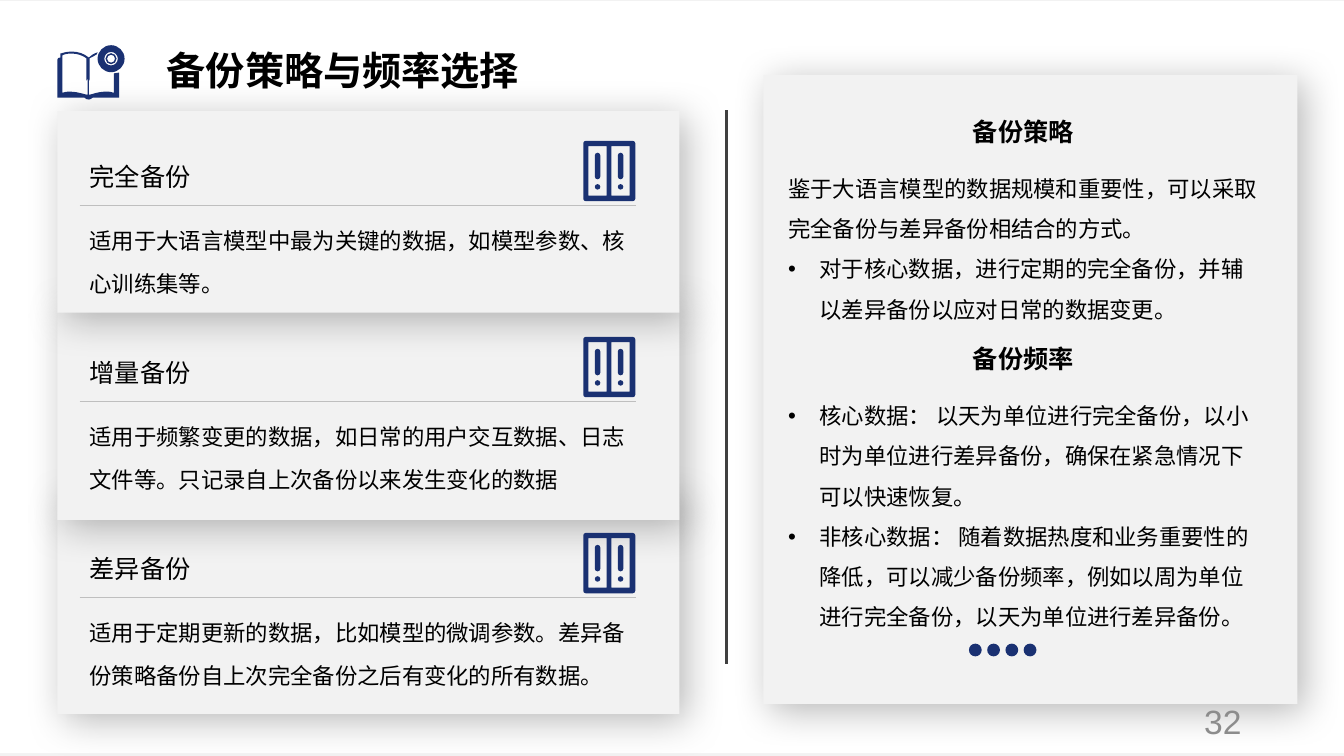
"""Build the slide on backup strategy and backup frequency."""
from lxml.etree import SubElement
from pptx import Presentation
from pptx.dml.color import RGBColor
from pptx.enum.lang import MSO_LANGUAGE_ID as Lang
from pptx.enum.shapes import MSO_CONNECTOR as Connector, MSO_SHAPE as Shape
from pptx.enum.text import MSO_ANCHOR as Anchor, MSO_AUTO_SIZE as AutoSize, PP_ALIGN as Align
from pptx.oxml.ns import qn
from pptx.util import Cm, Pt

NAVY = RGBColor(0x1A, 0x31, 0x72)
BLACK = RGBColor(0, 0, 0)
WHITE = RGBColor(0xFF, 0xFF, 0xFF)
PALE = RGBColor(0xF2, 0xF2, 0xF2)
SILVER = RGBColor(0xBF, 0xBF, 0xBF)
CHARCOAL = RGBColor(0x40, 0x40, 0x40)
GRAY = RGBColor(0x8C, 0x8C, 0x8C)
LATIN, CJK = "Arial", "Noto Sans CJK SC"

BACKUPS = [
    ("完全备份", "适用于大语言模型中最为关键的数据，如模型参数、核心训练集等。", 5.08, CJK),
    ("增量备份", "适用于频繁变更的数据，如日常的用户交互数据、日志文件等。只记录自上次备份以来发生变化的数据", 5.46, LATIN),
    ("差异备份", "适用于定期更新的数据，比如模型的微调参数。差异备份策略备份自上次完全备份之后有变化的所有数据。", 5.51, CJK),
]
STRATEGY = ["鉴于大语言模型的数据规模和重要性，可以采取完全备份与差异备份相结合的方式。"]
STRATEGY_POINTS = ["对于核心数据，进行定期的完全备份，并辅以差异备份以应对日常的数据变更。"]
FREQUENCY_POINTS = [
    "核心数据： 以天为单位进行完全备份，以小时为单位进行差异备份，确保在紧急情况下可以快速恢复。",
    "非核心数据： 随着数据热度和业务重要性的降低，可以减少备份频率，例如以周为单位进行完全备份，以天为单位进行差异备份。",
]
BOOK_COVER = [
    (1.8, 1.3), ((1.98, 1.3), (2.11, 1.35), (2.24, 1.45)),
    ((2.29, 1.4), (2.36, 1.35), (2.46, 1.32)), ((2.44, 1.35), (2.44, 1.37), (2.44, 1.37)),
    ((2.39, 1.4), (2.31, 1.45), (2.26, 1.47)), (2.26, 2.03), (2.24, 1.98), (2.24, 2.39),
    ((2.29, 2.39), (2.46, 2.31), (2.67, 2.31)), ((2.74, 2.31), (2.82, 2.31), (2.87, 2.34)),
    (2.87, 1.85), ((2.92, 1.85), (2.95, 1.83), (3, 1.83)), (3, 2.46), (2.34, 2.46),
    ((2.31, 2.49), (2.26, 2.51), (2.24, 2.51)), ((2.18, 2.51), (2.16, 2.49), (2.13, 2.46)),
    (1.45, 2.46), (1.45, 1.5), ((1.45, 1.47), (1.47, 1.45), (1.52, 1.45)),
    (1.52, 1.35), ((1.55, 1.35), (1.65, 1.3), (1.8, 1.3)),
]
LEFT_PAGE = [
    (1.8, 1.35), ((1.7, 1.35), (1.6, 1.37), (1.57, 1.4)), (1.57, 2.34),
    ((1.63, 2.31), (1.7, 2.31), (1.78, 2.31)), ((1.96, 2.31), (2.16, 2.39), (2.21, 2.39)),
    (2.21, 1.98), (2.18, 2.03), (2.18, 1.47), ((2.08, 1.4), (1.96, 1.35), (1.8, 1.35)),
]


def box_outline(left, top, width, height):
    return [(left, top), (left + width, top), (left + width, top + height), (left, top + height)]


def rounded(left, top, width, height, radius):
    right, bottom, pull = left + width, top + height, 0.45 * radius
    outline = [
        (left + radius, top), (right - radius, top),
        ((right - pull, top), (right, top + pull), (right, top + radius)),
        (right, bottom - radius),
        ((right, bottom - pull), (right - pull, bottom), (right - radius, bottom)),
        (left + radius, bottom),
        ((left + pull, bottom), (left, bottom - pull), (left, bottom - radius)),
        (left, top + radius),
        ((left, top + pull), (left + pull, top), (left + radius, top)),
    ]
    flat = {1, 5} if width <= 2 * radius else set()
    flat |= {3, 7} if height <= 2 * radius else set()
    return [part for index, part in enumerate(outline) if index not in flat]


def circle(x, y, radius):
    return rounded(x - radius, y - radius, 2 * radius, 2 * radius, radius)


def binders(left, top):
    outlines = [rounded(left, top, 1.31, 1.52, 0.06)]
    for x in (left + 0.13, left + 0.71):
        outlines += [
            box_outline(x, top + 0.13, 0.46, 1.25),
            rounded(x + 0.16, top + 0.3, 0.14, 0.67, 0.07),
            circle(x + 0.23, top + 1.16, 0.07),
        ]
    return outlines


def write(frame, plain=(), bullets=(), size=16, font=CJK, color=BLACK, bold=False,
          align=Align.LEFT, spacing=1.0, anchor=Anchor.TOP):
    frame.word_wrap = True
    frame.auto_size = AutoSize.NONE
    frame.vertical_anchor = anchor
    lines = [(text, False) for text in plain] + [(text, True) for text in bullets]
    for index, (text, bulleted) in enumerate(lines):
        paragraph = frame.add_paragraph() if index else frame.paragraphs[0]
        paragraph.alignment = align
        paragraph.line_spacing = spacing
        paragraph.space_before = paragraph.space_after = Pt(0)
        properties = paragraph._p.get_or_add_pPr()
        indent = Cm(0.79) if bulleted else 0
        properties.set("marL", str(indent))
        properties.set("indent", str(-indent))
        if bulleted:
            SubElement(properties, qn("a:buFont"), typeface=LATIN)
            SubElement(properties, qn("a:buChar"), char="•")
        else:
            SubElement(properties, qn("a:buNone"))
        run = paragraph.add_run()
        run.text = text
        run.font.size = Pt(size)
        run.font.bold = bold
        run.font.color.rgb = color
        run.font.name = font
        run.font.language_id = Lang.SIMPLIFIED_CHINESE
        latin = run._r.get_or_add_rPr().find(qn("a:latin"))
        latin.addnext(latin.makeelement(qn("a:ea"), typeface=CJK))


class Canvas:
    """Hold the current slide and draw its elements, with lengths in centimetres."""

    def __init__(self, slide):
        self.slide = slide
        self.shapes = slide.shapes
        slide.background.fill.solid()
        slide.background.fill.fore_color.rgb = PALE

    def paint(self, shape, color):
        shape.shadow.inherit = False
        shape.fill.solid()
        shape.fill.fore_color.rgb = color
        shape.line.fill.background()

    def panel(self, box, color=PALE, raised=True):
        panel = self.shapes.add_shape(Shape.RECTANGLE, *map(Cm, box))
        self.paint(panel, color)
        if raised:
            effects = panel.element.spPr.find(qn("a:effectLst"))
            shadow = SubElement(effects, qn("a:outerShdw"), blurRad=str(Pt(28)),
                                dist=str(Pt(7)), dir="2700000", algn="tl", rotWithShape="0")
            tint = SubElement(shadow, qn("a:srgbClr"), val="000000")
            SubElement(tint, qn("a:alpha"), val="28000")

    def rule(self, start, end, color, weight):
        rule = self.shapes.add_connector(Connector.STRAIGHT, *map(Cm, start + end))
        rule.line.color.rgb = color
        rule.line.width = Pt(weight)
        SubElement(rule.element.spPr, qn("a:effectLst"))

    def icon(self, outlines):
        builder, counts = None, []
        for start, *parts in outlines:
            segments = [part if isinstance(part[0], tuple) else (part,) for part in parts]
            counts += map(len, segments)
            first = tuple(map(Cm, start))
            if builder:
                builder.move_to(*first)
            else:
                builder = self.shapes.build_freeform(*first)
            builder.add_line_segments(
                [tuple(map(Cm, point)) for segment in segments for point in segment], close=True)
        icon = builder.convert_to_shape()
        steps = iter(list(icon.element.spPr.iter(qn("a:lnTo"))))
        for count in counts:
            group = [next(steps) for _ in range(count)]
            if count == 3:
                curve = group[0].makeelement(qn("a:cubicBezTo"))
                group[0].addprevious(curve)
                for step in group:
                    curve.append(step[0])
                    step.getparent().remove(step)
        self.paint(icon, NAVY)

    def text(self, box, *lines, **style):
        write(self.shapes.add_textbox(*map(Cm, box)).text_frame, lines, **style)

    def placeholder(self, index, box, **style):
        holder = self.slide.placeholders[index]
        holder.left, holder.top, holder.width, holder.height = map(Cm, box)
        holder.element.getparent().append(holder.element)
        write(holder.text_frame, **style)


def main():
    deck = Presentation()
    deck.slide_width, deck.slide_height = Cm(33.87), Cm(19.05)
    canvas = Canvas(deck.slides.add_slide(deck.slide_layouts[3]))
    canvas.panel((0, 0.03, 33.87, 18.95), WHITE, raised=False)
    for row in reversed(range(len(BACKUPS))):
        canvas.panel((1.45, 2.8 + 4.84 * row, 15.67, BACKUPS[row][2]))
    for row, (heading, usage, _, font) in enumerate(BACKUPS):
        offset = 4.94 * row
        canvas.text((2.01, 5.19 + offset, 14.02, 2.69), usage, font=font, spacing=1.6)
        canvas.text((2.01, 3.94 + offset, 14.02, 1.14), heading, size=18, font=LATIN)
        canvas.rule((2.01, 5.18 + offset), (16.03, 5.18 + offset), SILVER, 0.25)
        canvas.icon(binders(14.7, 3.55 + offset))

    canvas.rule((18.31, 2.78), (18.31, 16.72), CHARCOAL, 2)
    canvas.placeholder(0, (3.95, 0.64, 29.92, 1.85), plain=["备份策略与频率选择"], size=28,
                       font=LATIN, bold=True, spacing=0.9, anchor=Anchor.BOTTOM)
    disc = [circle(2.8, 1.48, radius) for radius in (0.34, 0.17, 0.14, 0.1)]
    canvas.icon([BOOK_COVER, LEFT_PAGE] + disc)
    canvas.panel((19.24, 1.89, 13.46, 15.85))
    for top, heading in ((2.81, "备份策略"), (8.53, "备份频率")):
        canvas.text((19.62, top, 12.34, 1.88), heading, size=18, font=LATIN,
                    bold=True, align=Align.CENTER)
    canvas.placeholder(1, (19.61, 3.94, 12.34, 3.68), plain=STRATEGY,
                       bullets=STRATEGY_POINTS, spacing=1.5)
    canvas.placeholder(2, (19.61, 9.67, 12.34, 5.33), bullets=FREQUENCY_POINTS, spacing=1.5)
    canvas.icon([circle(24.58 + 0.46 * dot, 16.38, 0.16) for dot in range(4)])
    canvas.text((23.92, 17.65, 7.62, 1.02), "32", size=24, font=LATIN, color=GRAY,
                align=Align.RIGHT, anchor=Anchor.MIDDLE)
    deck.save("out.pptx")


if __name__ == "__main__":
    main()
